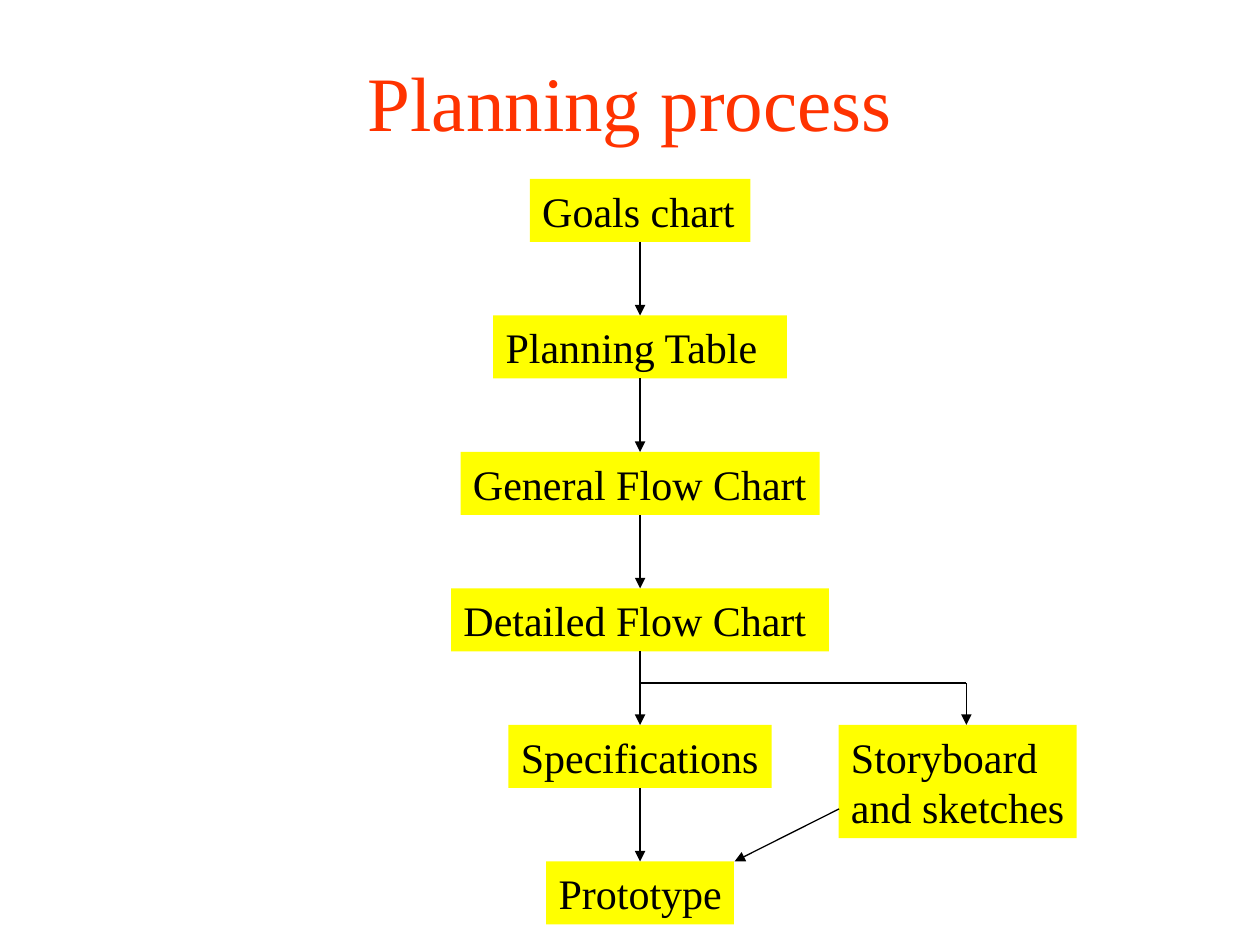
"""Build the planning process flow chart slide."""
import dataclasses

import lxml.etree
import pptx
import pptx.dml.color
import pptx.enum.shapes
import pptx.enum.text
import pptx.oxml.ns
import pptx.util

COLORS = {"title": "FF3300", "box": "FFFF00", "ink": "000000"}
FONT = "Times New Roman"
WIDTH, HEIGHT = 10, 7.5
TOP, ROW_PITCH = 1.42, 13 / 12
BOX_HEIGHT, TEXT_LINE = 0.5, 0.4
MAIN_X, BRANCH_X, BRANCH_Y = 5.08, 7.67, 5.42


@dataclasses.dataclass(frozen=True)
class Step:
    """A box centred on center, in a row of the chart."""
    text: str
    row: int
    width: float
    center: float = MAIN_X
    wrap: bool = True

    @property
    def top(self) -> float:
        return TOP + self.row * ROW_PITCH

    @property
    def height(self) -> float:
        return BOX_HEIGHT + TEXT_LINE * self.text.count("\n")


@dataclasses.dataclass(frozen=True)
class Link:
    """A straight line, with an arrowhead at its end if wanted."""
    start: tuple[float, float]
    end: tuple[float, float]
    arrow: bool = True


MAIN_STEPS = [
    Step("Goals chart", 0, 1.75),
    Step("Planning Table", 1, 2.33),
    Step("General Flow Chart", 2, 2.85, wrap=False),
    Step("Detailed Flow Chart", 3, 3),
    Step("Specifications", 4, 2.09, wrap=False),
    Step("Prototype", 5, 1.49, wrap=False),
]
STORYBOARD = Step("Storyboard\nand sketches", 4, 1.89, center=7.6, wrap=False)
BRANCH_LINKS = [
    Link((MAIN_X, BRANCH_Y), (BRANCH_X, BRANCH_Y), arrow=False),
    Link((BRANCH_X, BRANCH_Y), (BRANCH_X, STORYBOARD.top)),
    Link((6.66, 6.42), (5.83, MAIN_STEPS[-1].top)),
]


def color(name: str) -> pptx.dml.color.RGBColor:
    """Return a named colour."""
    return pptx.dml.color.RGBColor.from_string(COLORS[name])


def write_text(shape, text: str, *, size: float, ink: str = "ink", align: str = "LEFT",
               anchor: str = "TOP", wrap: bool = True) -> None:
    """Write one paragraph per line of text into a shape."""
    frame = shape.text_frame
    frame.word_wrap = wrap
    frame.vertical_anchor = pptx.enum.text.MSO_ANCHOR[anchor]
    frame.text = text
    for paragraph in frame.paragraphs:
        paragraph.alignment = pptx.enum.text.PP_ALIGN[align]
        paragraph.font.name = FONT
        paragraph.font.size = pptx.util.Pt(size)
        paragraph.font.color.rgb = color(ink)


def draw_step(slide, step: Step) -> None:
    """Draw a step as a filled box."""
    shape = slide.shapes.add_shape(
        pptx.enum.shapes.MSO_SHAPE.RECTANGLE,
        *map(pptx.util.Inches, (step.center - step.width / 2, step.top, step.width, step.height)))
    shape.shadow.inherit = False
    shape.fill.solid()
    shape.fill.fore_color.rgb = color("box")
    shape.line.fill.background()
    write_text(shape, step.text, size=24, wrap=step.wrap)


def draw_link(slide, link: Link) -> None:
    """Draw a link as a thin connector."""
    connector = slide.shapes.add_connector(
        pptx.enum.shapes.MSO_CONNECTOR.STRAIGHT,
        *map(pptx.util.Inches, (*link.start, *link.end)))
    connector.line.width = pptx.util.Pt(0.74)
    connector.line.color.rgb = color("ink")
    qualified = pptx.oxml.ns.qn
    properties = connector.element.spPr
    if link.arrow:
        outline = properties.find(qualified("a:ln"))
        lxml.etree.SubElement(outline, qualified("a:tailEnd"), type="triangle")
    lxml.etree.SubElement(properties, qualified("a:effectLst"))


def main() -> None:
    """Build and save the presentation."""
    presentation = pptx.Presentation()
    presentation.slide_width = pptx.util.Inches(WIDTH)
    presentation.slide_height = pptx.util.Inches(HEIGHT)
    slide = presentation.slides.add_slide(presentation.slide_layouts[6])
    title = slide.shapes.add_textbox(*map(pptx.util.Inches, (0.75, 0.17, 8.5, 1.25)))
    write_text(title, "Planning process", size=44, ink="title", align="CENTER", anchor="MIDDLE")
    for step in [*MAIN_STEPS, STORYBOARD]:
        draw_step(slide, step)
    main_links = [Link((MAIN_X, upper.top + upper.height), (MAIN_X, lower.top))
                  for upper, lower in zip(MAIN_STEPS, MAIN_STEPS[1:])]
    for link in main_links + BRANCH_LINKS:
        draw_link(slide, link)
    presentation.save("out.pptx")


main()
